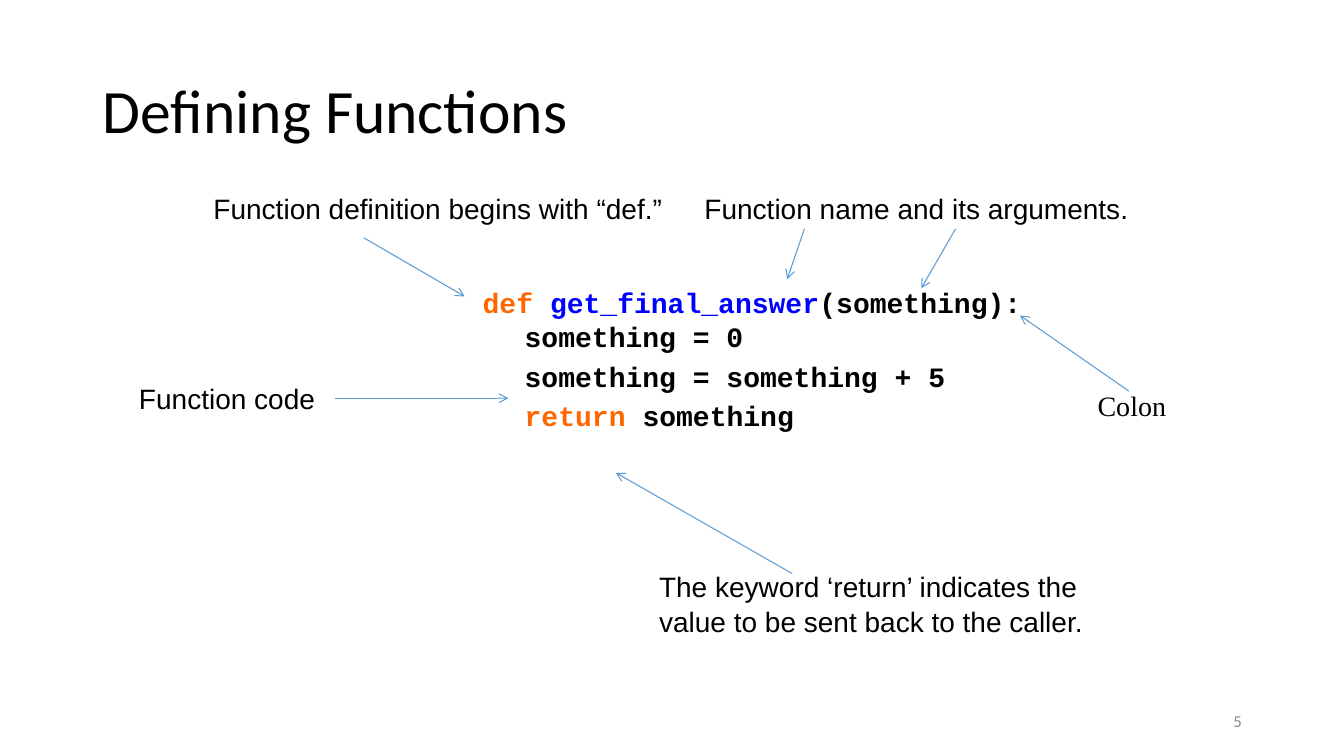
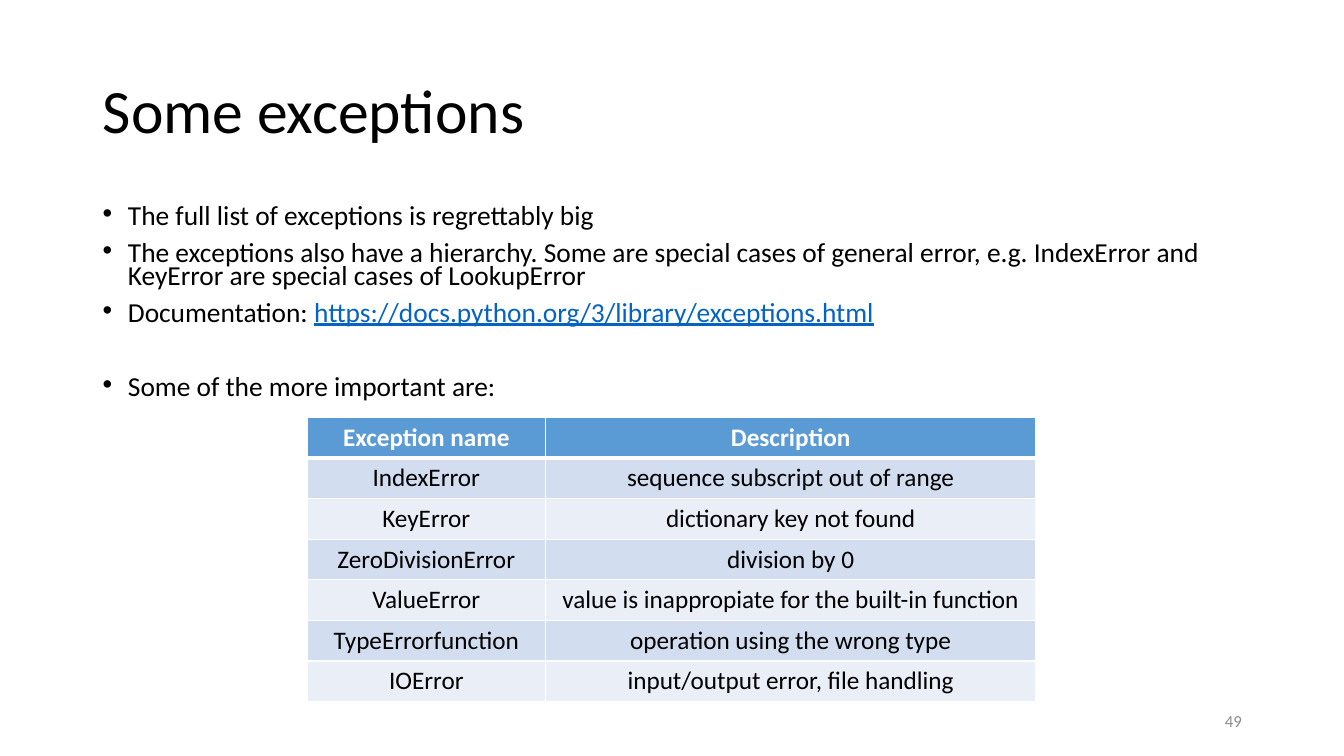
import dataclasses

import pptx
import pptx.dml.color
import pptx.enum.shapes
import pptx.enum.text
import pptx.oxml
import pptx.oxml.ns
import pptx.util

Pt = pptx.util.Pt
ALIGN = pptx.enum.text.PP_ALIGN
ANCHOR = pptx.enum.text.MSO_ANCHOR


@dataclasses.dataclass(frozen=True)
class Theme:
    """Colours, fonts and type sizes of the deck."""
    text: str = "000000"
    white: str = "FFFFFF"
    accent: str = "5B9BD5"
    bands: tuple = ("D2DEEF", "EAEFF7")
    muted: str = "8C8C8C"
    link: str = "0563C1"
    keyword: str = "FF6600"
    name: str = "0000FF"
    sans: str = "Calibri"
    label: str = "Arial"
    serif: str = "Times New Roman"
    mono: str = "Courier New"
    title_size: float = 44
    label_size: float = 20
    label_line: float = 24.4
    body_size: float = 19.6
    table_size: float = 18
    number_size: float = 12


T = Theme()
TITLE_BOX = (66.2, 28.8, 828, 104.4)
NUMBER_BOX = (678.2, 500.4, 216, 28.8)


def rgb(color):
    """Turn a hex string into a colour."""
    return pptx.dml.color.RGBColor.from_string(color)


def apply(obj, values):
    """Set attributes of an object from a dict."""
    for key, value in values.items():
        setattr(obj, key, value)


def place(sp, box):
    """Move a shape to a box given in points."""
    apply(sp, dict(zip(("left", "top", "width", "height"), map(Pt, box))))


def write(p, runs, font, size, **para):
    """Fill a paragraph with (text, colour, font values) runs."""
    apply(p, para)
    for text, color, values in runs:
        r = p.add_run()
        r.text = text
        apply(r.font, {"name": font, "size": Pt(size), **values})
        r.font.color.rgb = rgb(color)


def paragraphs(tf, count):
    """Return a text frame's paragraphs after extending it to count."""
    while len(tf.paragraphs) < count:
        tf.add_paragraph()
    return tf.paragraphs


def indent(p, left, first=0):
    """Set a paragraph's left and first-line indents."""
    pPr = p._p.get_or_add_pPr()
    pPr.set("marL", str(Pt(left)))
    pPr.set("indent", str(Pt(first)))


def textbox(slide, box, **frame):
    """Add a wrapping text box and return its text frame."""
    tf = slide.shapes.add_textbox(*map(Pt, box)).text_frame
    apply(tf, {"word_wrap": True, **frame})
    return tf


def base_slide(prs, layout, title, number):
    """Add a slide with the shared title and page number."""
    slide = prs.slides.add_slide(prs.slide_layouts[layout])
    sp = slide.shapes.title
    place(sp, TITLE_BOX)
    tf = sp.text_frame
    apply(tf, {"vertical_anchor": ANCHOR.MIDDLE, "auto_size": pptx.enum.text.MSO_AUTO_SIZE.NONE})
    write(tf.paragraphs[0], [(title, T.text, {})], T.sans, T.title_size,
          alignment=ALIGN.LEFT, line_spacing=0.9)
    tf = textbox(slide, NUMBER_BOX, vertical_anchor=ANCHOR.MIDDLE)
    write(tf.paragraphs[0], [(str(number), T.muted, {})], T.sans, T.number_size,
          alignment=ALIGN.RIGHT)
    return slide


def arrow(slide, start, end):
    """Draw a thin open-headed arrow between two points."""
    sp = slide.shapes.add_connector(pptx.enum.shapes.MSO_CONNECTOR.STRAIGHT,
                                    *map(Pt, start + end))
    sp.line.color.rgb = rgb(T.accent)
    sp.line.width = Pt(0.75)
    ns = pptx.oxml.ns.nsdecls("a")
    sp.line._get_or_add_ln().append(pptx.oxml.parse_xml(f'<a:tailEnd {ns} type="arrow"/>'))
    sp._element.spPr.append(pptx.oxml.parse_xml(f"<a:effectLst {ns}/>"))


def annotation(slide, box, lines, arrows, font=T.label):
    """Place a label with arrows measured from its top left corner."""
    x, y = box[:2]
    tf = textbox(slide, box)
    for p, line in zip(paragraphs(tf, len(lines)), lines):
        write(p, [(line, T.text, {})], font, T.label_size, line_spacing=Pt(T.label_line))
    for x1, y1, x2, y2 in arrows:
        arrow(slide, (x + x1, y + y1), (x + x2, y + y2))


def code_block(slide, box, lines):
    """Place bold code; each line is (indent, space before, runs)."""
    tf = textbox(slide, box)
    for p, (left, gap, runs) in zip(paragraphs(tf, len(lines)), lines):
        indent(p, left)
        write(p, [(text, color, {"bold": True}) for text, color in runs], T.mono,
              T.label_size, space_before=Pt(gap), line_spacing=Pt(T.label_line))


def bullet_list(slide, box, items):
    """Fill the body placeholder; each item is (space before, runs)."""
    sp = slide.placeholders[1]
    place(sp, box)
    tf = sp.text_frame
    tf.auto_size = pptx.enum.text.MSO_AUTO_SIZE.NONE
    for p, (gap, runs) in zip(paragraphs(tf, len(items)), items):
        indent(p, 18, -18)
        write(p, runs, T.sans, T.body_size, space_before=Pt(gap), line_spacing=0.7)


def cell_borders(cell, bottom):
    """Draw white borders, with the bottom one in the given width."""
    tcPr = cell._tc.get_or_add_tcPr()
    widths = {"lnL": 1, "lnR": 1, "lnT": 1, "lnB": bottom}
    for i, (side, width) in enumerate(widths.items()):
        tcPr.insert(i, pptx.oxml.parse_xml(
            f'<a:{side} {pptx.oxml.ns.nsdecls("a")} w="{Pt(width)}"><a:solidFill>'
            f'<a:srgbClr val="{T.white}"/></a:solidFill></a:{side}>'))


def banded_table(slide, box, col_widths, rows):
    """Place a centred table with a header row and banded body."""
    table = slide.shapes.add_table(len(rows), len(col_widths), *map(Pt, box)).table
    for col, width in zip(table.columns, col_widths):
        col.width = Pt(width)
    for i, row in enumerate(rows):
        table.rows[i].height = Pt(box[3] / len(rows))
        header = i == 0
        for j, text in enumerate(row):
            cell = table.cell(i, j)
            cell.fill.solid()
            cell.fill.fore_color.rgb = rgb(T.accent if header else T.bands[(i - 1) % 2])
            cell_borders(cell, 3 if header else 1)
            color = T.white if header else T.text
            write(cell.text_frame.paragraphs[0], [(text, color, {"bold": header})],
                  T.sans, T.table_size, alignment=ALIGN.CENTER)


def functions_slide(prs):
    """Build the annotated function definition."""
    slide = base_slide(prs, 5, "Defining Functions", 5)
    code_block(slide, (265.7, 200.2, 509.8, 108), [
        (72, 0, [("def ", T.keyword), ("get_final_answer", T.name),
                 ("(something):", T.text)]),
        (102, 0, [("something = 0", T.text)]),
        (102, 3.5, [("something = something + 5", T.text)]),
        (102, 3.5, [("return ", T.keyword), ("something", T.text)]),
    ])
    annotation(slide, (92.2, 268.6, 141.8, 31.7), ["Function code"],
               [(147, 15.8, 270.9, 15.8)])
    annotation(slide, (145.4, 133.2, 345, 31.7), ["Function definition begins with “def.”"],
               [(114.5, 36.7, 186.5, 78.5)])
    annotation(slide, (496.1, 133.2, 320, 31.7), ["Function name and its arguments."],
               [(78.5, 30.2, 66.2, 66.2), (186.5, 30.2, 162, 72.7)])
    annotation(slide, (463.7, 403.2, 333.4, 55.4),
               ["The keyword ‘return’ indicates the", "value to be sent back to the caller."],
               [(102.2, 6.5, -23.8, -65.5)])
    annotation(slide, (776.9, 273.6, 70, 31.7), ["Colon"],
               [(29.5, 5.8, -48.3, -48.2)], T.serif)


def exceptions_slide(prs):
    """Build the exceptions list and table."""
    slide = base_slide(prs, 1, "Some exceptions", 49)
    bullet_list(slide, (66.2, 144, 828, 154), [
        (10, [("The full list of exceptions is regrettably big", T.text, {})]),
        (10, [("The exceptions also have a hierarchy. Some are special cases of general "
               "error, e.g. IndexError and KeyError are special cases of LookupError",
               T.text, {})]),
        (10, [("Documentation: ", T.text, {}),
              ("https://docs.python.org/3/library/exceptions.html", T.link,
               {"underline": True})]),
        (36.5, [("Some of the more important are:", T.text, {})]),
    ])
    banded_table(slide, (219.6, 298.1, 520.5, 203), (169.9, 350.6), [
        ("Exception name", "Description"),
        ("IndexError", "sequence subscript out of range"),
        ("KeyError", "dictionary key not found"),
        ("ZeroDivisionError", "division by 0"),
        ("ValueError", "value is inappropiate for the built-in function"),
        ("TypeErrorfunction", "operation using the wrong type"),
        ("IOError", "input/output error, file handling"),
    ])


def main():
    """Build and save the deck."""
    prs = pptx.Presentation()
    apply(prs, {"slide_width": Pt(960), "slide_height": Pt(540)})
    functions_slide(prs)
    exceptions_slide(prs)
    prs.save("out.pptx")


main()
